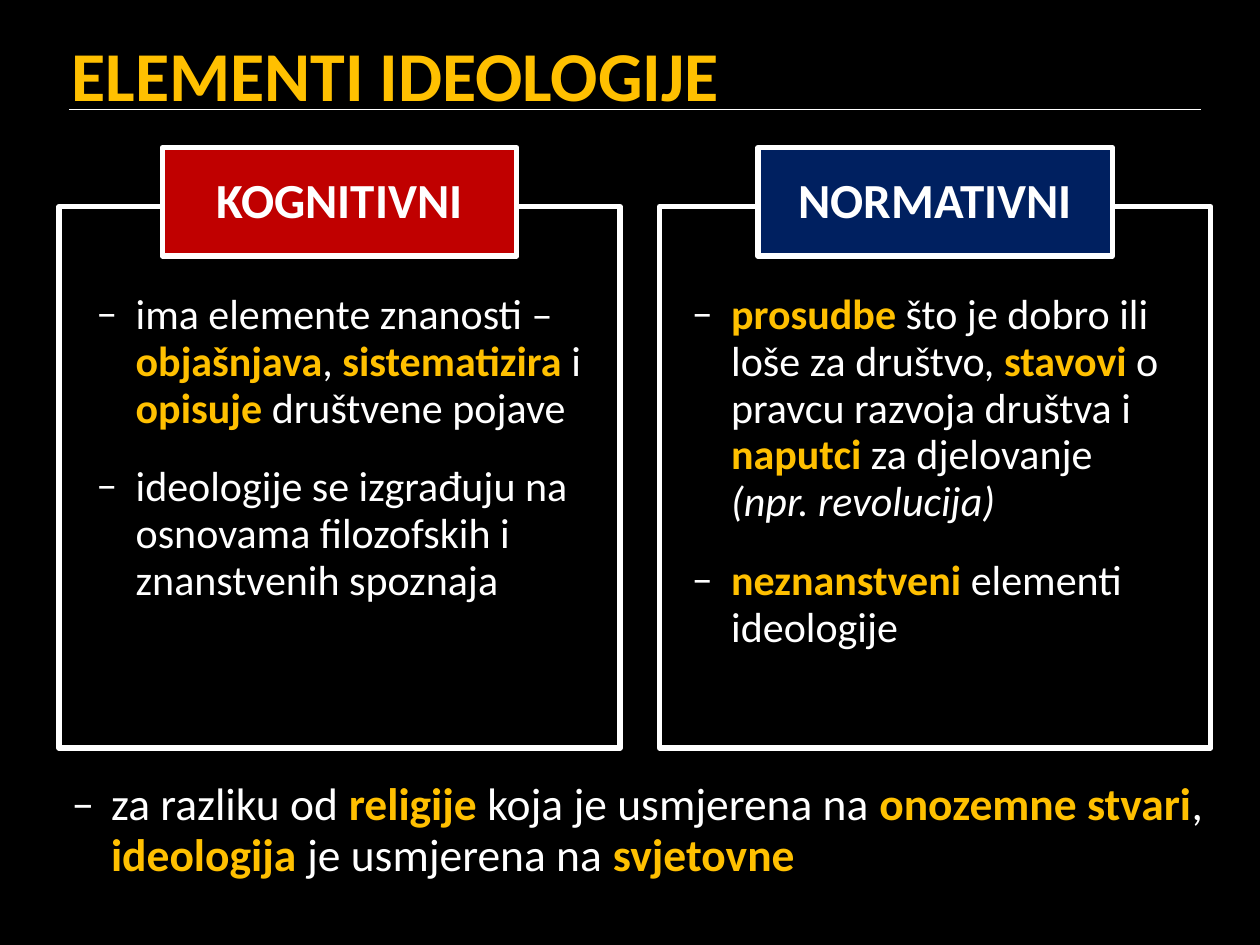
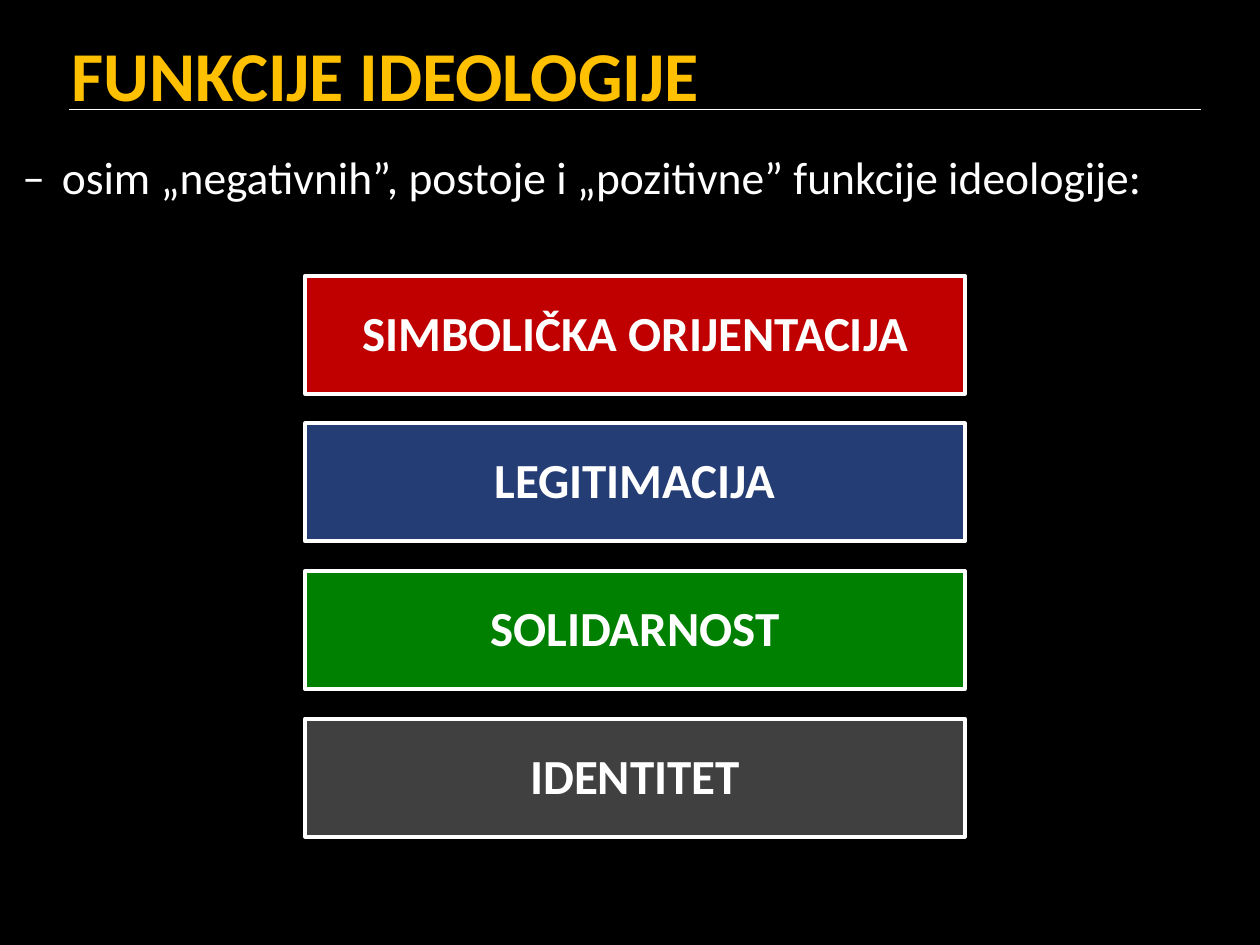
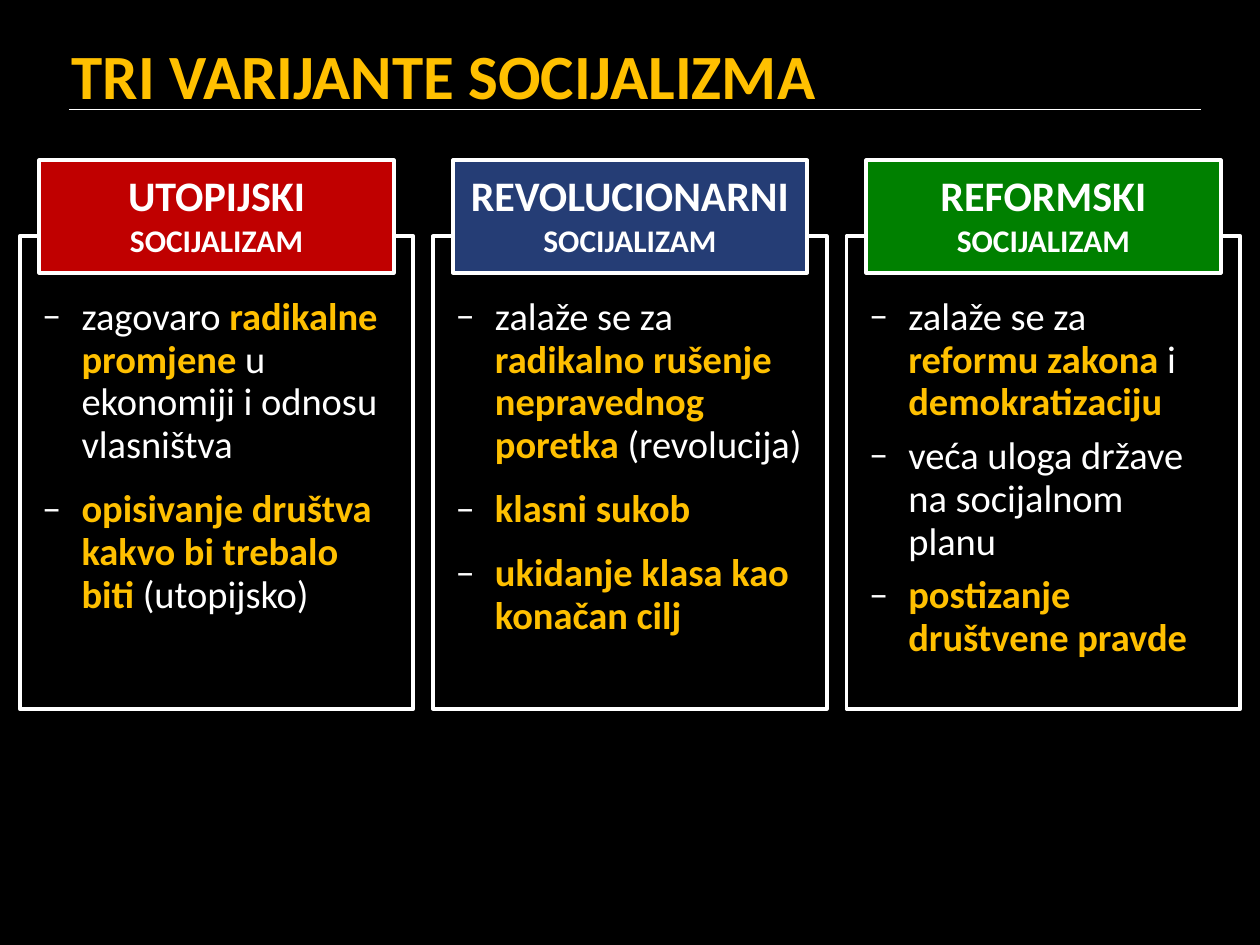
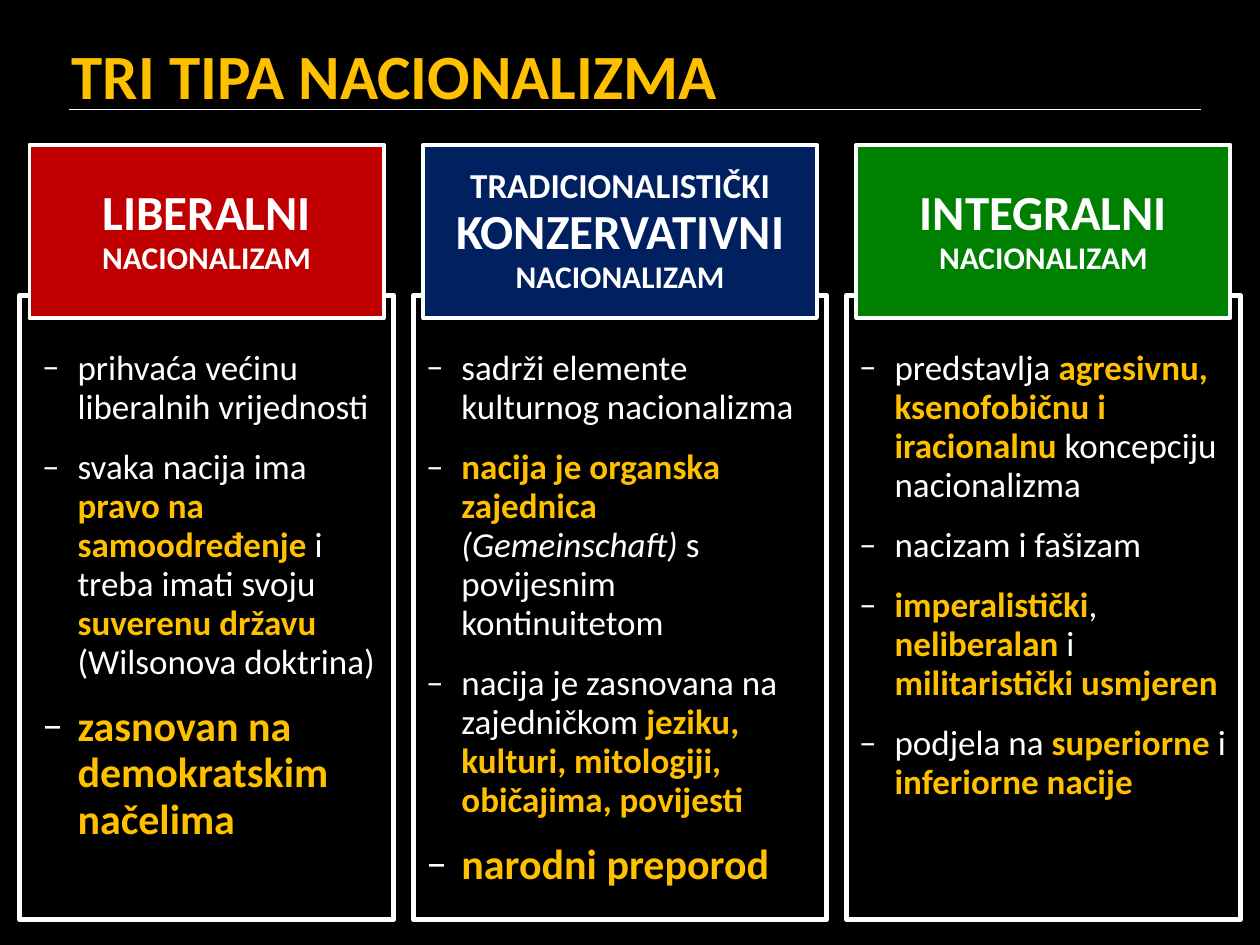
import pptx
import pptx.util
import pptx.dml.color
import pptx.enum.shapes
import pptx.enum.text
import pptx.oxml.ns
from lxml import etree

RGBColor = pptx.dml.color.RGBColor
BLACK = RGBColor(0x00, 0x00, 0x00)
WHITE = RGBColor(0xFF, 0xFF, 0xFF)
GOLD = RGBColor(0xFF, 0xC0, 0x00)
RED = RGBColor(0xC0, 0x00, 0x00)
NAVY = RGBColor(0x00, 0x20, 0x60)
BLUE = RGBColor(0x25, 0x3D, 0x75)
GREEN = RGBColor(0x00, 0x80, 0x00)
GREY = RGBColor(0x40, 0x40, 0x40)

FONT = "Calibri"
LINE_SPACING = 0.93
COLUMNS = 64
SLIDE_WIDTH = pptx.util.Inches(10)
SLIDE_HEIGHT = pptx.util.Inches(7.5)
TITLE_ONLY_LIST, COMPARISON = 1, 4  # layouts with one and with four text bodies


def grid(*cells):
    """Turn lengths in square grid cells (64 columns, 48 rows) into EMU."""
    return [round(SLIDE_WIDTH * cell / COLUMNS) for cell in cells]


def move(shape, box):
    shape.left, shape.top, shape.width, shape.height = grid(*box)


def style_run(run, size, color=WHITE, bold=False, italic=False):
    run.font.name = FONT
    run.font.size = pptx.util.Pt(size)
    run.font.color.rgb = color
    run.font.bold = bold
    run.font.italic = italic


def add_bullet(paragraph, indent):
    props = paragraph._p.get_or_add_pPr()
    margin = grid(indent)[0]
    props.set("marL", str(margin))
    props.set("indent", str(-margin))
    qn = pptx.oxml.ns.qn
    bullet_color = etree.SubElement(props, qn("a:buClr"))
    etree.SubElement(bullet_color, qn("a:srgbClr"), val=str(WHITE))
    etree.SubElement(props, qn("a:buFont"), typeface=FONT)
    etree.SubElement(props, qn("a:buChar"), char="–")


def write_marked(paragraph, text, size):
    """Write text in which *stars* mark gold bold and _underscores_ italic."""
    for i, part in enumerate(text.split("*")):
        for j, piece in enumerate(part.split("_")):
            if piece:
                run = paragraph.add_run()
                run.text = piece
                key = i % 2 == 1
                style_run(run, size, GOLD if key else WHITE, key, j % 2 == 1)


def fill_list(body, box, items, size, gap=0, indent=2, last_size=None):
    move(body, box)
    frame = body.text_frame
    frame.word_wrap = True
    frame.auto_size = pptx.enum.text.MSO_AUTO_SIZE.SHAPE_TO_FIT_TEXT
    frame.vertical_anchor = pptx.enum.text.MSO_ANCHOR.TOP
    for i, item in enumerate(items):
        paragraph = frame.paragraphs[0] if i == 0 else frame.add_paragraph()
        paragraph.line_spacing = LINE_SPACING
        paragraph.space_before = pptx.util.Pt(gap if i else 0)
        add_bullet(paragraph, indent)
        last = i == len(items) - 1
        write_marked(paragraph, item, last_size if last and last_size else size)


def add_frame(slide, box, border, color=None):
    frame = slide.shapes.add_shape(pptx.enum.shapes.MSO_SHAPE.RECTANGLE, *grid(*box))
    frame.shadow.inherit = False
    frame.line.color.rgb = WHITE
    frame.line.width = pptx.util.Pt(border)
    if color is None:
        frame.fill.background()
    else:
        frame.fill.solid()
        frame.fill.fore_color.rgb = color
    return frame


def add_label(slide, box, color, lines, border=2.25):
    """Add a filled box; each line is a list of (text, size) runs."""
    frame = add_frame(slide, box, border, color).text_frame
    frame.word_wrap = True
    frame.vertical_anchor = pptx.enum.text.MSO_ANCHOR.MIDDLE
    for i, line in enumerate(lines):
        paragraph = frame.paragraphs[0] if i == 0 else frame.add_paragraph()
        paragraph.alignment = pptx.enum.text.PP_ALIGN.CENTER
        paragraph.line_spacing = LINE_SPACING if i == 0 else pptx.util.Pt(22)
        for text, size in line:
            run = paragraph.add_run()
            run.text = text
            style_run(run, size, bold=True)


def add_panel(slide, box, border, label, color, lines, label_border=2.25):
    """Add an outlined panel with a centred label across its top edge.

    label gives the label's width, height and rise above the panel.
    """
    left, top, width, _ = box
    label_width, label_height, rise = label
    add_frame(slide, box, border)
    label_left = left + (width - label_width) / 2
    add_label(slide, (label_left, top - rise, label_width, label_height),
              color, lines, label_border)


def add_titled_slide(prs, layout, title, size):
    """Add a slide with its title; return it with its empty text bodies."""
    slide = prs.slides.add_slide(prs.slide_layouts[layout])
    heading = slide.shapes.title
    move(heading, (3, 1.45, 62.5, 4.6))
    frame = heading.text_frame
    frame.text = title
    frame.auto_size = pptx.enum.text.MSO_AUTO_SIZE.NONE
    frame.vertical_anchor = pptx.enum.text.MSO_ANCHOR.MIDDLE
    frame.paragraphs[0].alignment = pptx.enum.text.PP_ALIGN.LEFT
    style_run(frame.paragraphs[0].runs[0], size, GOLD, bold=True)
    bodies = [p for p in slide.placeholders if 1 <= p.placeholder_format.idx <= 4]
    return slide, bodies


def drop_unused(bodies):
    for body in bodies:
        if not body.text_frame.text:
            body.element.getparent().remove(body.element)


def set_up_master(prs, slide):
    """Give the master its background and title rule, drawn first on slide."""
    master = prs.slide_master
    master.background.fill.solid()
    master.background.fill.fore_color.rgb = BLACK
    rule = slide.shapes.add_connector(
        pptx.enum.shapes.MSO_CONNECTOR.STRAIGHT, *grid(3.5, 5.57, 61, 5.57))
    rule.line.color.rgb = WHITE
    rule.line.width = pptx.util.Pt(1)
    etree.SubElement(rule.element.spPr, pptx.oxml.ns.qn("a:effectLst"))
    master.shapes.element.append(rule.element)


def build_elements(prs):
    slide, bodies = add_titled_slide(prs, COMPARISON, "ELEMENTI IDEOLOGIJE", 40)
    set_up_master(prs, slide)
    panels = [
        (3, 28.5, RED, "KOGNITIVNI", [
            "ima elemente znanosti – *objašnjava*, *sistematizira* i *opisuje* društvene pojave",
            "ideologije se izgrađuju na osnovama filozofskih i znanstvenih spoznaja"]),
        (33.5, 28, NAVY, "NORMATIVNI", [
            "*prosudbe* što je dobro ili loše za društvo, *stavovi* o pravcu razvoja društva i "
            "*naputci* za djelovanje _(npr. revolucija)_",
            "*neznanstveni *elementi ideologije"]),
    ]
    for body, (left, width, color, name, items) in zip(bodies, panels):
        add_panel(slide, (left, 10.5, width, 27.5), 3, (18, 5.5, 3),
                  color, [[(name, 28)]], 3)
        fill_list(body, (left + (width - 26) / 2, 14.5, 26, 18.5), items, 24, gap=18)
    fill_list(bodies[2], (3, 39.3, 59.5, 5.8), [
        "za razliku od *religije* koja je usmjerena na *onozemne stvari*, "
        "*ideologija* je usmjerena na *svjetovne*"], 26)
    drop_unused(bodies)


def build_functions(prs):
    slide, bodies = add_titled_slide(prs, TITLE_ONLY_LIST, "FUNKCIJE IDEOLOGIJE", 40)
    fill_list(bodies[0], (0.5, 7.5, 61.75, 3.25), [
        "osim „negativnih”, postoje i „pozitivne” funkcije ideologije:"], 26)
    functions = [("SIMBOLIČKA ORIJENTACIJA", RED), ("LEGITIMACIJA", BLUE),
                 ("SOLIDARNOST", GREEN), ("IDENTITET", GREY)]
    for row, (name, color) in enumerate(functions):
        add_label(slide, (15.5, 14 + 7.5 * row, 33.5, 6), color, [[(name, 28)]])


def build_socialism(prs):
    slide, bodies = add_titled_slide(prs, COMPARISON, "TRI VARIJANTE SOCIJALIZMA", 36)
    variants = [
        ("UTOPIJSKI", RED, 18.7, 12, [
            "zagovaro *radikalne promjene *u ekonomiji i odnosu vlasništva",
            "*opisivanje društva kakvo bi trebalo biti *(utopijsko)"]),
        ("REVOLUCIONARNI", BLUE, 20, 12, [
            "zalaže se za *radikalno rušenje nepravednog poretka *(revolucija)",
            "*klasni sukob*",
            "*ukidanje klasa kao konačan cilj*"]),
        ("REFORMSKI", GREEN, 18.7, 6, [
            "zalaže se za *reformu zakona *i* demokratizaciju*",
            "veća uloga države na socijalnom planu",
            "*postizanje društvene pravde*"]),
    ]
    for column, (name, color, list_width, gap, items) in enumerate(variants):
        left = 1 + 21 * column
        add_panel(slide, (left, 12, 20, 24), 2.25, (18, 5.7, 3.85),
                  color, [[(name, 24)], [("SOCIJALIZAM", 18)]])
        fill_list(bodies[column], (left + 0.5, 14.7, list_width, 18), items, 22, gap)
    drop_unused(bodies)


def build_nationalism(prs):
    slide, bodies = add_titled_slide(prs, COMPARISON, "TRI TIPA NACIONALIZMA", 36)
    kind = ("NACIONALIZAM", 18)
    types = [
        (1, 19, RED, [("LIBERALNI ", 28), kind], (1.5, 18.7), 24, [
            "prihvaća većinu liberalnih vrijednosti",
            "svaka nacija ima *pravo na samoodređenje *i treba imati svoju "
            "*suverenu državu *(Wilsonova doktrina)",
            "*zasnovan na demokratskim načelima*"]),
        (21, 21, NAVY, [("TRADICIONALISTIČKI ", 20), ("KONZERVATIVNI ", 28), kind],
         (21, 21), 24, [
            "sadrži elemente kulturnog nacionalizma",
            "*nacija je organska zajednica *_(Gemeinschaft) _s povijesnim kontinuitetom",
            "nacija je zasnovana na zajedničkom "
            "*jeziku, kulturi, mitologiji, običajima, povijesti*",
            "*narodni preporod*"]),
        (43, 20, GREEN, [("INTEGRALNI ", 28), kind], (43, 20), None, [
            "predstavlja *agresivnu, ksenofobičnu i iracionalnu *koncepciju nacionalizma",
            "nacizam i fašizam",
            "*imperalistički*, *neliberalan* i *militaristički usmjeren*",
            "podjela na *superiorne *i *inferiorne nacije*"]),
    ]
    for body, (left, width, color, name, column, last_size, items) in zip(bodies, types):
        add_panel(slide, (left, 15, width, 31.7), 3, (width - 1, 8.8, 7.65), color, [name])
        list_left, list_width = column
        fill_list(body, (list_left, 17.4, list_width, 26), items, 20, gap=12,
                  indent=1.8, last_size=last_size)
    drop_unused(bodies)


def main():
    prs = pptx.Presentation()
    prs.slide_width, prs.slide_height = SLIDE_WIDTH, SLIDE_HEIGHT
    build_elements(prs)
    build_functions(prs)
    build_socialism(prs)
    build_nationalism(prs)
    prs.save("out.pptx")


if __name__ == "__main__":
    main()
